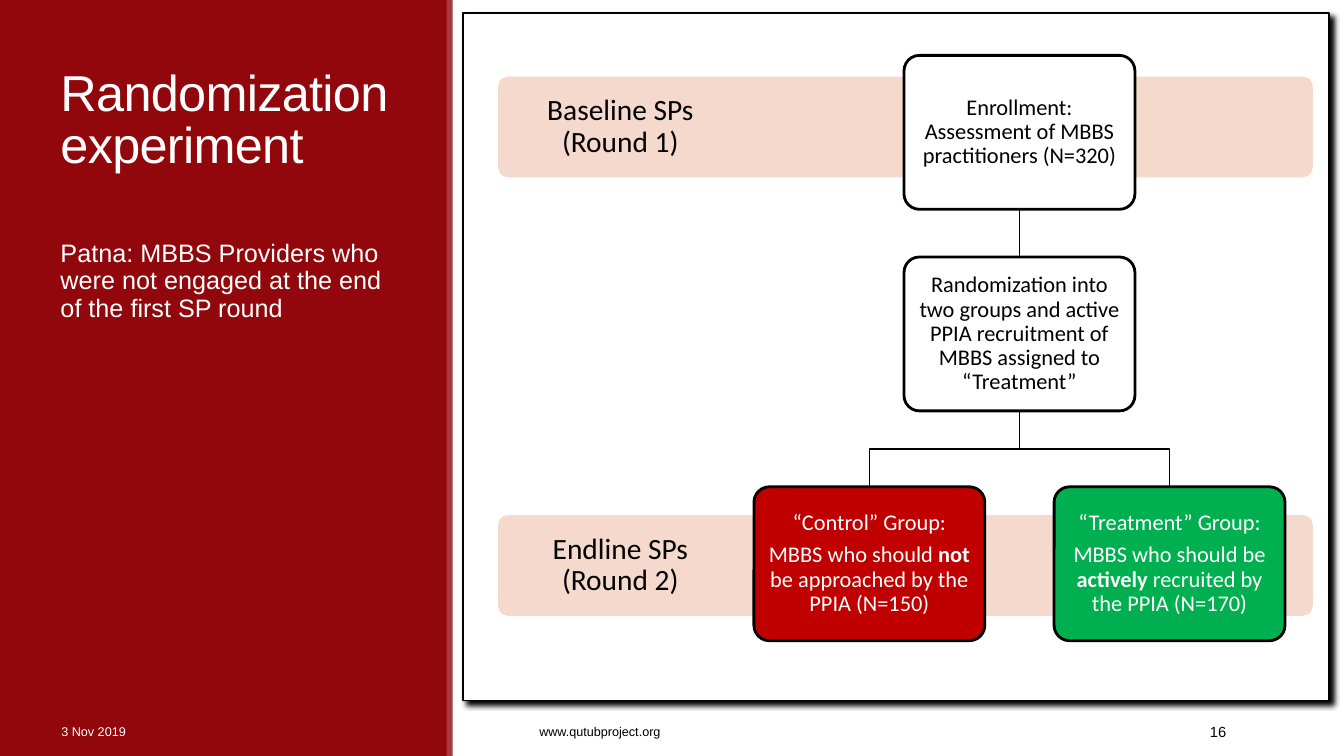
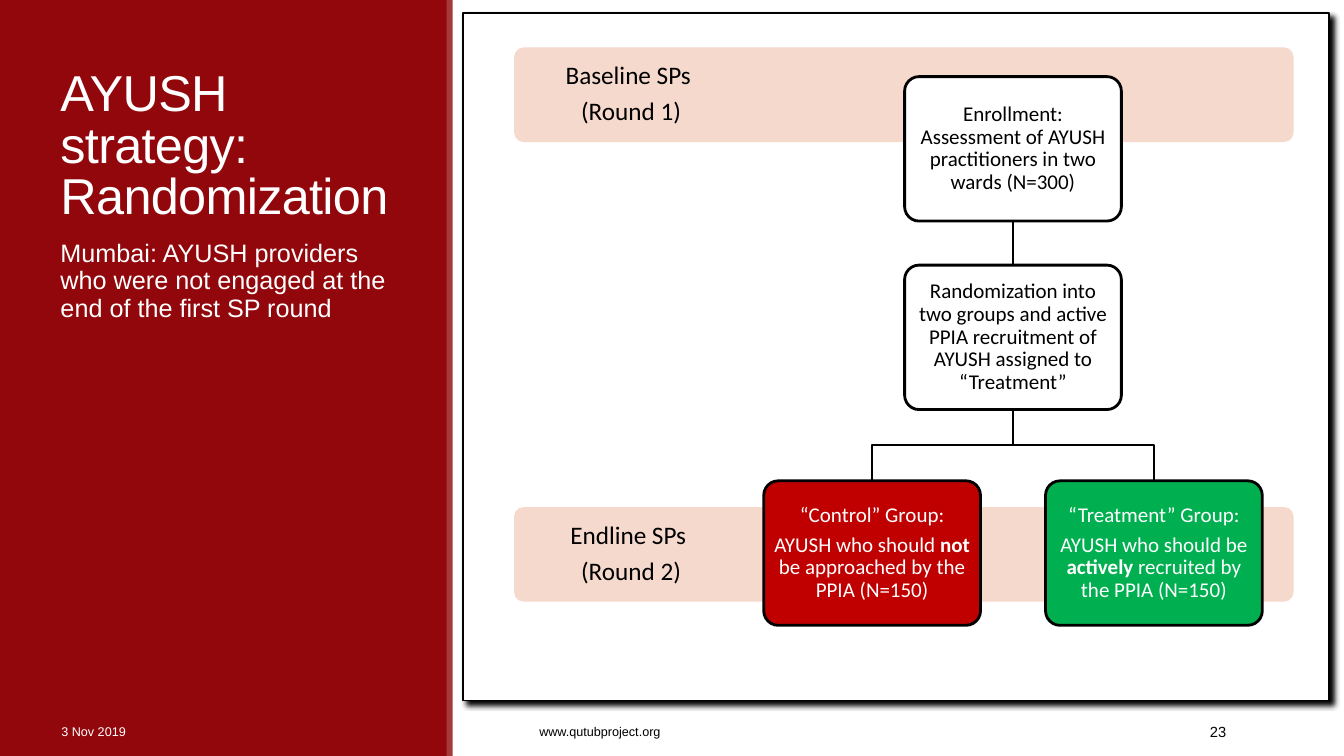
import lxml.etree
import pptx
import pptx.dml.color
import pptx.enum.shapes
import pptx.enum.text
import pptx.oxml.ns
import pptx.util

SLIDE_WIDTH, SLIDE_HEIGHT = 13.33, 7.5
CRIMSON, WHITE, BLACK = "91070B", "FFFFFF", "000000"
PEACH, RED, GREEN = "F5D9CC", "C00000", "00B050"
SANS, DIAGRAM_FONT = "Arial", "Calibri"
SHAPES = pptx.enum.shapes.MSO_SHAPE
ALIGN = pptx.enum.text.PP_ALIGN
ANCHOR = pptx.enum.text.MSO_ANCHOR
TITLE_BOX = (0.5, 0.65, 3.5, 1.66)
BODY_BOX = (0.5, 2.34, 3.5, 4.55)

DIAGRAMS = [
    {
        "title": ["Randomization experiment"],
        "body": "Patna: MBBS Providers who were not engaged at the end of the first SP round",
        "number": "16",
        "box": (4.94, 0.55, 8.08),
        "node_width": 2.29,
        "node_rows": (0, 2, 4.28),
        "band_rows": (0.21, 4.56),
        "sizes": (21, 16),
        "insets": (0.16, 0.07),
        "labels": [[["Baseline SPs (Round 1)"]], [["Endline SPs (Round 2)"]]],
        "enrollment": "Enrollment: Assessment of MBBS practitioners (N=320)",
        "group": "MBBS",
        "counts": (150, 170),
    },
    {
        "title": ["AYUSH strategy:", "Randomization"],
        "body": "Mumbai: AYUSH providers who were not engaged at the end of the first SP round",
        "number": "23",
        "box": (5.1, 0.47, 7.73),
        "node_width": 2.15,
        "node_rows": (0.29, 2.16, 4.3),
        "band_rows": (0, 4.56),
        "sizes": (18, 15),
        "insets": (0.14, 0.06),
        "labels": [[["Baseline SPs "], ["(Round 1)"]], [["Endline SPs "], ["(Round 2)"]]],
        "enrollment": "Enrollment: Assessment of AYUSH practitioners in two wards (N=300)",
        "group": "AYUSH",
        "counts": (150, 150),
    },
]


def inches(*values):
    """Convert lengths to slide units."""
    return [pptx.util.Inches(value) for value in values]


def color(value):
    """Turn a hex string into a colour."""
    return pptx.dml.color.RGBColor.from_string(value)


def style_font(font, name, size, ink):
    """Set the typeface, size and colour of a font."""
    font.name = name
    font.size = pptx.util.Pt(size)
    font.color.rgb = color(ink)


def style_line(line, ink, width):
    """Draw a line in one colour, or hide it when no colour is given."""
    if ink:
        line.color.rgb = color(ink)
        line.width = pptx.util.Pt(width)
    else:
        line.fill.background()


def add_block(page, kind, box, fill, line=None, width=1.25):
    """Add a flat preset shape."""
    block = page.shapes.add_shape(kind, *inches(*box))
    block.shadow.inherit = False
    block.fill.solid()
    block.fill.fore_color.rgb = color(fill)
    style_line(block.line, line, width)
    if kind == SHAPES.ROUNDED_RECTANGLE:
        block.adjustments[0] = 0.1
    return block


def write_centred(box, paragraphs, size, ink, inset):
    """Write centred paragraphs, each a list of runs with every second run bold."""
    frame = box.text_frame
    frame.word_wrap = True
    frame.vertical_anchor = ANCHOR.MIDDLE
    frame.margin_left, frame.margin_top, frame.margin_right, frame.margin_bottom = inches(*[inset] * 4)
    for index, runs in enumerate(paragraphs):
        para = frame.paragraphs[0] if index == 0 else frame.add_paragraph()
        para.alignment = ALIGN.CENTER
        para.line_spacing = 0.9
        para.space_after = pptx.util.Pt(0.35 * size)
        for position, text in enumerate(runs):
            span = para.add_run()
            span.text = text
            span.font.bold = position % 2 == 1
            style_font(span.font, DIAGRAM_FONT, size, ink)


def build_layout(layout, page):
    """Move the shared panels into the layout and place its title and body."""
    frame = add_block(page, SHAPES.RECTANGLE, (4.59, 0.13, 8.59, 6.82), WHITE, BLACK)
    sidebar = add_block(page, SHAPES.RECTANGLE, (0, 0, 4.43, SLIDE_HEIGHT), CRIMSON)
    edge = add_block(page, SHAPES.RECTANGLE, (4.42, 0, 0.07, SLIDE_HEIGHT), CRIMSON)
    name = pptx.oxml.ns.qn
    shadow = lxml.etree.SubElement(
        frame.element.spPr.find(name("a:effectLst")), name("a:outerShdw"),
        blurRad="50800", dist="50800", dir="2700000", algn="tl", rotWithShape="0")
    lxml.etree.SubElement(shadow, name("a:srgbClr"), val=BLACK)
    edge_color = edge.element.spPr.find(name("a:solidFill")).find(name("a:srgbClr"))
    lxml.etree.SubElement(edge_color, name("a:alpha"), val="80000")
    for index, panel in enumerate((frame, sidebar, edge)):
        panel.element.nvSpPr.cNvPr.set("id", str(20 + index))
        layout.shapes.element.insert(2 + index, panel.element)
    for holder, box in zip(layout.placeholders, (TITLE_BOX, BODY_BOX)):
        holder.left, holder.top, holder.width, holder.height = inches(*box)


def write_sidebar(page, title_lines, body_text):
    """Fill the title and body placeholders."""
    body = page.placeholders[1]
    for holder in (page.shapes.title, body):
        frame = holder.text_frame
        frame.word_wrap = True
        frame.auto_size = pptx.enum.text.MSO_AUTO_SIZE.NONE
        frame.vertical_anchor = ANCHOR.TOP
    para = page.shapes.title.text_frame.paragraphs[0]
    para.alignment = ALIGN.LEFT
    para.line_spacing = 0.85
    for index, text in enumerate(title_lines):
        if index:
            para.add_line_break()
        span = para.add_run()
        span.text = text
        style_font(span.font, SANS, 36, WHITE)
        span.font._element.set("spc", "-50")
    para = body.text_frame.paragraphs[0]
    properties = para._p.get_or_add_pPr()
    properties.set("marL", "0")
    properties.set("indent", "0")
    lxml.etree.SubElement(properties, pptx.oxml.ns.qn("a:buNone"))
    para.line_spacing = 0.9
    para.space_before = pptx.util.Pt(0)
    para.space_after = pptx.util.Pt(2)
    span = para.add_run()
    span.text = body_text
    style_font(span.font, SANS, 18, WHITE)


def write_footer(page, number):
    """Write the date, the web address and the page number."""
    for text, left, width, size, ink, align in (
        ("3 Nov 2019", 0.51, 3.49, 9, WHITE, ALIGN.LEFT),
        ("www.qutubproject.org", 5.25, 5.08, 9, BLACK, ALIGN.LEFT),
        (number, 10.83, 1.43, 10.5, BLACK, ALIGN.RIGHT),
    ):
        frame = page.shapes.add_textbox(*inches(left, 7.06, width, 0.4)).text_frame
        frame.word_wrap = True
        frame.vertical_anchor = ANCHOR.MIDDLE
        para = frame.paragraphs[0]
        para.alignment = align
        span = para.add_run()
        span.text = text
        style_font(span.font, SANS, size, ink)


def join_straight(page, upper, lower):
    """Join two stacked nodes."""
    center = upper.left + upper.width // 2
    link = page.shapes.add_connector(
        pptx.enum.shapes.MSO_CONNECTOR.STRAIGHT,
        center, upper.top + upper.height, center, lower.top)
    link.begin_connect(upper, 2)
    link.end_connect(lower, 0)
    lxml.etree.SubElement(link.element.spPr, pptx.oxml.ns.qn("a:effectLst"))
    style_line(link.line, BLACK, 1.25)


def join_elbow(page, upper, lower):
    """Draw a stepped line from a node down to a branch."""
    start = upper.left + upper.width // 2
    finish = lower.left + lower.width // 2
    bottom = upper.top + upper.height
    middle = (bottom + lower.top) // 2
    builder = page.shapes.build_freeform(start, bottom)
    builder.add_line_segments([(start, middle), (finish, middle), (finish, lower.top)], close=False)
    link = builder.convert_to_shape()
    link.shadow.inherit = False
    link.fill.background()
    style_line(link.line, BLACK, 1.25)


def draw_diagram(page, box, plan):
    """Draw the two round bands and the tree of nodes inside a box."""
    left, top, width = box
    node_width = plan["node_width"]
    node_height = node_width * 2 / 3
    band_height = node_height * 0.655
    label_size, node_size = plan["sizes"]
    label_inset, node_inset = plan["insets"]
    group = plan["group"]
    for row, label in zip(plan["band_rows"], plan["labels"]):
        add_block(page, SHAPES.ROUNDED_RECTANGLE, (left, top + row, width, band_height), PEACH)
        caption = page.shapes.add_textbox(*inches(left, top + row, width * 0.3, band_height))
        write_centred(caption, label, label_size, BLACK, label_inset)
    center = left + width * 0.64
    nodes = []
    for row, shift, fill, ink, paragraphs in (
        (0, 0, WHITE, BLACK, [[plan["enrollment"]]]),
        (1, 0, WHITE, BLACK, [[f"Randomization into two groups and active PPIA recruitment of {group} assigned to “Treatment”"]]),
        (2, -0.65, RED, WHITE, [
            ["“Control” Group:"],
            [f"{group} who should ", "not", f" be approached by the PPIA (N={plan['counts'][0]})"]]),
        (2, 0.65, GREEN, WHITE, [
            ["“Treatment” Group:"],
            [f"{group} who should be ", "actively", f" recruited by the PPIA (N={plan['counts'][1]})"]]),
    ):
        node_left = center + (shift - 0.5) * node_width
        node = add_block(page, SHAPES.ROUNDED_RECTANGLE,
                         (node_left, top + plan["node_rows"][row], node_width, node_height),
                         fill, BLACK, 2)
        write_centred(node, paragraphs, node_size, ink, node_inset)
        nodes.append(node)
    enrollment, randomization, control, treatment = nodes
    join_straight(page, enrollment, randomization)
    for branch in (control, treatment):
        join_elbow(page, randomization, branch)


def main():
    """Build and save the deck."""
    deck = pptx.Presentation()
    deck.slide_width, deck.slide_height = inches(SLIDE_WIDTH, SLIDE_HEIGHT)
    layout = deck.slide_layouts[1]
    for index, plan in enumerate(DIAGRAMS):
        page = deck.slides.add_slide(layout)
        if index == 0:
            build_layout(layout, page)
        write_sidebar(page, plan["title"], plan["body"])
        draw_diagram(page, plan["box"], plan)
        write_footer(page, plan["number"])
    deck.save("out.pptx")


if __name__ == "__main__":
    main()
